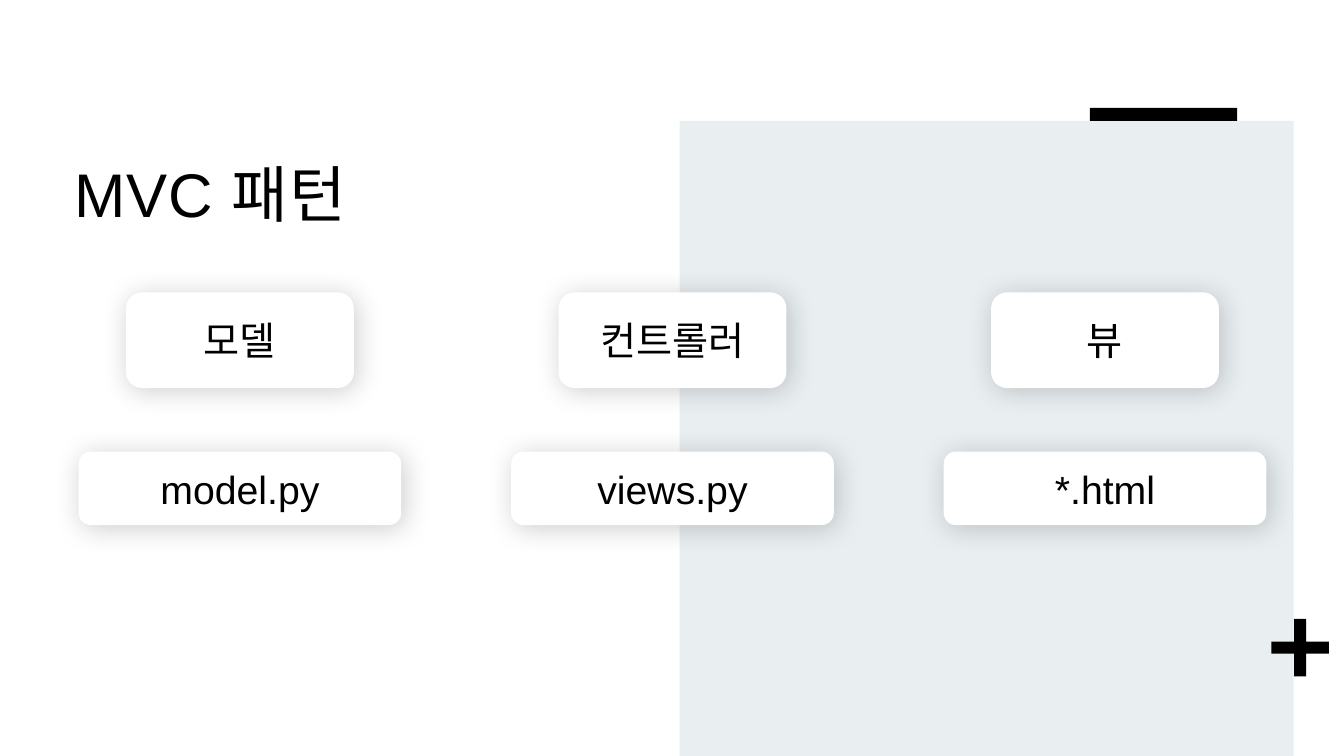
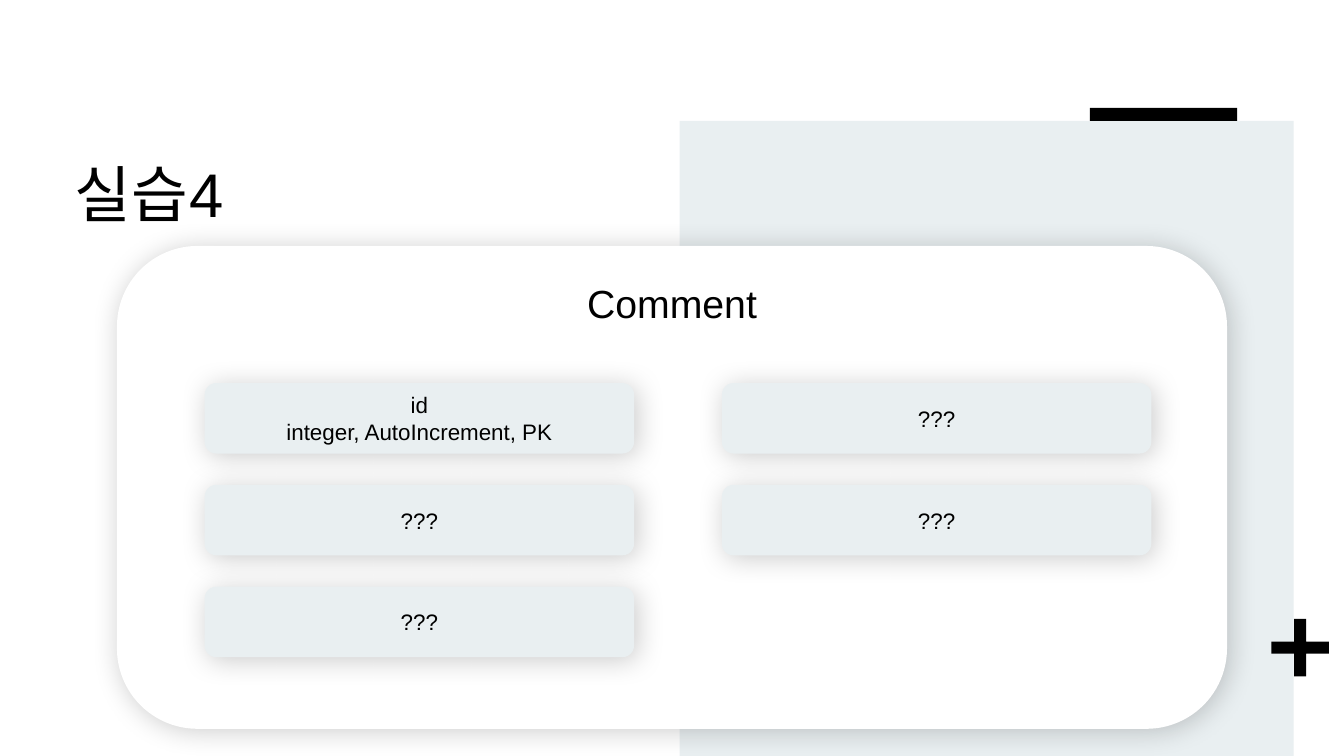
from dataclasses import dataclass

from lxml import etree
from pptx import Presentation
from pptx.dml.color import RGBColor
from pptx.enum.shapes import MSO_SHAPE
from pptx.enum.text import MSO_ANCHOR, MSO_AUTO_SIZE, PP_ALIGN
from pptx.oxml.ns import qn
from pptx.util import Inches, Pt

RECTANGLE = MSO_SHAPE.RECTANGLE
ROUNDED = MSO_SHAPE.ROUNDED_RECTANGLE
PLUS = MSO_SHAPE.CROSS
TOP, MIDDLE = MSO_ANCHOR.TOP, MSO_ANCHOR.MIDDLE
LEFT, CENTER = PP_ALIGN.LEFT, PP_ALIGN.CENTER
NO_AUTOFIT = MSO_AUTO_SIZE.NONE
TITLE_ONLY = 5


@dataclass(frozen=True)
class Theme:
    black: str = "000000"
    white: str = "FFFFFF"
    mist: str = "E9EFF1"
    font: str = "Arial"
    label_font: str = "Roboto"
    title_size: int = 44
    card_size: int = 28
    field_size: int = 16


THEME = Theme()


def write_text(frame, text, *, size, font=THEME.font, align=CENTER,
               anchor=MIDDLE, line_spacing=None, tracking=0):
    """Write one paragraph for each line of text."""
    frame.word_wrap = True
    frame.vertical_anchor = anchor
    frame.text = text
    for para in frame.paragraphs:
        para.alignment = align
        para.line_spacing = line_spacing
        for span in para.runs:
            span.font.name = font
            span.font.size = Pt(size)
            span.font.color.rgb = RGBColor.from_string(THEME.black)
            if tracking:
                span.font._element.set("spc", str(round(tracking * 100)))


def add_box(page, kind, left, top, width, height, fill):
    box = page.shapes.add_shape(
        kind, Inches(left), Inches(top), Inches(width), Inches(height))
    box.shadow.inherit = False
    box.fill.solid()
    box.fill.fore_color.rgb = RGBColor.from_string(fill)
    box.line.fill.background()
    return box


def add_soft_shadow(box):
    effects = box._element.spPr.find(qn("a:effectLst"))
    shadow = etree.SubElement(
        effects, qn("a:outerShdw"), blurRad=str(Pt(20)), dist=str(Pt(3)),
        dir=str(45 * 60000), algn="ctr", rotWithShape="0")
    color = etree.SubElement(shadow, qn("a:srgbClr"), val=THEME.black)
    etree.SubElement(color, qn("a:alpha"), val="20000")


def add_card(page, text, left, top, width, height, *, fill=THEME.white,
             **text_format):
    card = add_box(page, ROUNDED, left, top, width, height, fill)
    add_soft_shadow(card)
    write_text(card.text_frame, text, **text_format)
    return card


def add_page(deck, title):
    page = deck.slides.add_slide(deck.slide_layouts[TITLE_ONLY])
    box = page.shapes.title
    box.left, box.top = Inches(0.62), Inches(1.32)
    box.width, box.height = Inches(9.04), Inches(1.58)
    frame = box.text_frame
    frame.auto_size = NO_AUTOFIT
    frame.margin_left = frame.margin_top = frame.margin_right = Inches(0.12)
    frame.margin_bottom = Inches(0.1)
    write_text(frame, title, size=THEME.title_size, align=LEFT, anchor=TOP,
               line_spacing=1.14, tracking=0.5)
    return page


def move_to_layout(page, boxes):
    """Share the boxes with every page, behind the layout's placeholders."""
    tree = page.slide_layout.shapes._spTree
    for position, box in enumerate(boxes, start=2):
        tree.insert(position, box._element)


def add_decor(page):
    panel = add_box(page, RECTANGLE, 6.74, 1.2, 6.09, 6.3, THEME.mist)
    plus = add_box(page, PLUS, 12.61, 6.14, 0.57, 0.57, THEME.black)
    plus.adjustments[0] = 0.395
    bar = add_box(page, RECTANGLE, 10.81, 1.07, 1.46, 0.13, THEME.black)
    move_to_layout(page, [panel, plus, bar])


def add_pattern(page):
    first_center, pitch = 2.38, 4.29
    role_width, file_width = 2.26, 3.2
    parts = [("모델", "model.py"), ("컨트롤러", "views.py"), ("뷰", "*.html")]
    for column, (role, file_name) in enumerate(parts):
        center = first_center + column * pitch
        add_card(page, role, center - role_width / 2, 2.9, role_width, 0.95,
                 size=THEME.card_size, font=THEME.label_font)
        add_card(page, file_name, center - file_width / 2, 4.48, file_width,
                 0.73, size=THEME.card_size)


def add_exercise(page):
    # Model panel
    panel = add_card(page, "Comment", 1.16, 2.44, 11.01, 4.79,
                     size=THEME.card_size, anchor=TOP)
    panel.text_frame.margin_top = Inches(0.1)

    # Fields, column by column
    columns = [["id\ninteger, AutoIncrement, PK", "???", "???"],
               ["???", "???"]]
    for column, fields in enumerate(columns):
        for row, field in enumerate(fields):
            add_card(page, field, 2.03 + column * 5.13, 3.8 + row * 1.01,
                     4.26, 0.7, fill=THEME.mist, size=THEME.field_size)


def main():
    deck = Presentation()
    deck.slide_width, deck.slide_height = Inches(13.33), Inches(7.5)

    # Pattern page, with the shared decoration
    pattern = add_page(deck, "MVC 패턴")
    add_decor(pattern)
    add_pattern(pattern)

    # Exercise page
    add_exercise(add_page(deck, "실습4"))
    deck.save("out.pptx")


if __name__ == "__main__":
    main()
